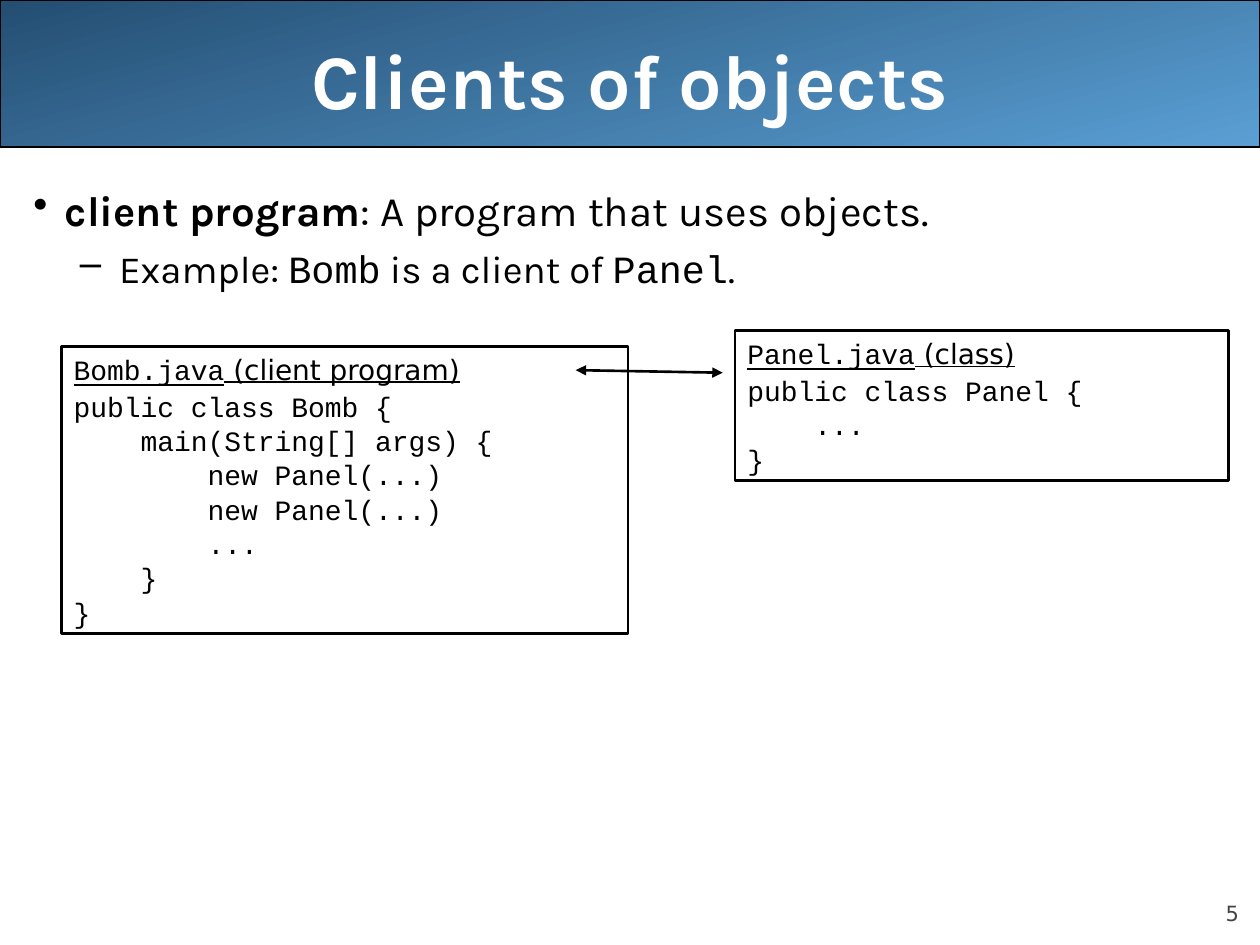
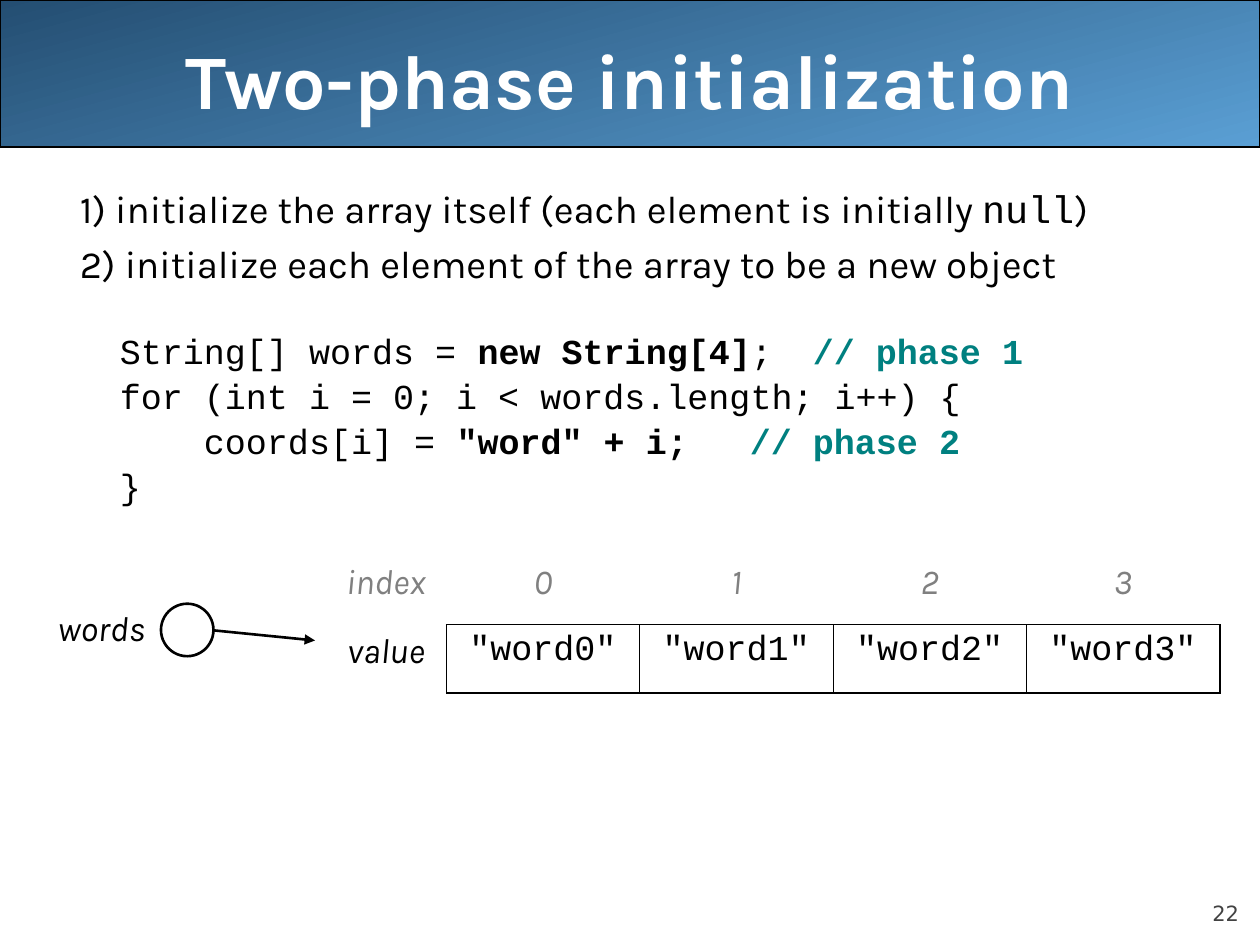
from dataclasses import dataclass
from lxml.etree import SubElement
from pptx import Presentation
from pptx.dml.color import RGBColor as Color
from pptx.enum.shapes import MSO_CONNECTOR as Connector, MSO_SHAPE as Shape
from pptx.enum.text import MSO_ANCHOR as Anchor, PP_ALIGN as Align
from pptx.oxml.ns import qn
from pptx.util import Pt


@dataclass(frozen=True)
class Theme:
    black: str = "000000"
    white: str = "FFFFFF"
    band_dark: str = "244E72"
    band_light: str = "5A9FD4"
    page_number: str = "424242"
    index: str = "808080"
    comment: str = "008080"
    body_font: str = "Karla"
    code_font: str = "Courier New"
    plain_font: str = "DejaVu Sans"
    title_size: float = 44
    lead_size: float = 24
    body_size: float = 22
    diagram_size: float = 20
    listing_size: float = 16
    number_size: float = 12
    line_width: float = 1.5
    thin_border: float = 0.45
    thick_border: float = 1.08


THEME = Theme()
CODE = {"font": THEME.code_font}
LISTING = {"font": THEME.code_font, "size": THEME.listing_size}
CODE_BLOCK = {"font": THEME.code_font, "size": THEME.diagram_size}
DIAGRAM = {"size": THEME.diagram_size, "italic": True}
COMMENT = {"color": THEME.comment, "bold": True}
SUB_LEVEL = {"margin": 49, "hanging": 22.5, "before": 5.5}


def add_span(para, text, font=THEME.body_font, size=THEME.body_size,
             color=THEME.black, bold=False, italic=False, underline=False):
    span = para.add_run()
    span.text = text
    style = span.font
    style.name, style.size = font, Pt(size)
    style.bold, style.italic, style.underline = bold, italic, underline
    style.color.rgb = Color.from_string(color)


def add_para(frame, spans, align=Align.LEFT, before=0, spacing=1.0,
             margin=0, hanging=0, bullet=None, tab=None):
    first = not frame.paragraphs[0].runs
    para = frame.paragraphs[0] if first else frame.add_paragraph()
    props = para._p.get_or_add_pPr()
    props.set("marL", str(Pt(margin)))
    props.set("indent", str(Pt(-hanging)))
    if bullet:
        SubElement(props, qn("a:buChar"), char=bullet)
    else:
        SubElement(props, qn("a:buNone"))
    if tab:
        stops = SubElement(props, qn("a:tabLst"))
        SubElement(stops, qn("a:tab"), pos=str(Pt(tab)), algn="l")
    para.alignment = align
    para.line_spacing = spacing
    para.space_before = Pt(0 if first else before)
    for text, style in spans:
        add_span(para, text, **style)


def set_frame(frame, anchor=Anchor.TOP, inset=(7.2, 3.6)):
    frame.word_wrap = True
    frame.vertical_anchor = anchor
    frame.margin_left = frame.margin_right = Pt(inset[0])
    frame.margin_top = frame.margin_bottom = Pt(inset[1])
    return frame


def add_text_box(page, left, top, width, height, **frame_format):
    box = page.shapes.add_textbox(Pt(left), Pt(top), Pt(width), Pt(height))
    return set_frame(box.text_frame, **frame_format)


def add_outline(page, kind, left, top, width, height, fill=None,
                line_width=THEME.line_width):
    shape = page.shapes.add_shape(kind, Pt(left), Pt(top), Pt(width), Pt(height))
    shape.shadow.inherit = False
    if fill:
        shape.fill.solid()
        shape.fill.fore_color.rgb = Color.from_string(fill)
    else:
        shape.fill.background()
    shape.line.color.rgb = Color.from_string(THEME.black)
    shape.line.width = Pt(line_width)
    return shape


def add_arrow(page, start, end, both_ends=False):
    arrow = page.shapes.add_connector(
        Connector.STRAIGHT, *(Pt(value) for value in start + end))
    arrow.line.color.rgb = Color.from_string(THEME.black)
    arrow.line.width = Pt(THEME.line_width)
    line = arrow.line._get_or_add_ln()
    for tip in ("a:headEnd", "a:tailEnd") if both_ends else ("a:tailEnd",):
        SubElement(line, qn(tip), type="triangle")
    SubElement(arrow._element.spPr, qn("a:effectLst"))


def add_page(deck, title, number):
    page = deck.slides.add_slide(deck.slide_layouts[6])
    band = add_outline(page, Shape.ROUNDED_RECTANGLE, 0, 0, 720, 84, line_width=0.75)
    band.adjustments[0] = 0
    band.fill.gradient()
    band.fill.gradient_angle = 285
    for stop, color in zip(band.fill.gradient_stops, (THEME.band_dark, THEME.band_light)):
        stop.color.rgb = Color.from_string(color)
    frame = add_text_box(page, 36, 0, 648, 90, anchor=Anchor.MIDDLE)
    style = {"size": THEME.title_size, "color": THEME.white, "bold": True}
    add_para(frame, [(title, style)], align=Align.CENTER)
    frame = add_text_box(page, 648, 500.5, 60, 28.5, anchor=Anchor.BOTTOM, inset=(0, 0))
    style = {"font": THEME.plain_font, "size": THEME.number_size,
             "color": THEME.page_number}
    add_para(frame, [(str(number), style)], align=Align.RIGHT)
    return page


def add_body(page):
    return add_text_box(page, 12, 102, 708, 408)


def add_listing(page, left, top, width, height, file_name, role, code):
    box = add_outline(page, Shape.RECTANGLE, left, top, width, height)
    frame = set_frame(box.text_frame)
    heading = LISTING | {"underline": True}
    add_para(frame, [(file_name, heading),
                     (f" ({role})", heading | {"font": THEME.plain_font})])
    for line in code.splitlines():
        add_para(frame, [(line, LISTING)], before=10, spacing=0.5)


def set_borders(cell, widths):
    props = cell._tc.get_or_add_tcPr()
    for side in "LRTB":
        width = widths.get(side, 0)
        line = SubElement(props, qn(f"a:ln{side}"), w=str(Pt(width)))
        if width:
            fill = SubElement(line, qn("a:solidFill"))
            SubElement(fill, qn("a:srgbClr"), val=THEME.black)
        else:
            SubElement(line, qn("a:noFill"))


def add_array(page, left, top, values):
    label_width, value_width, row_height = 69, 110.5, 39
    count = len(values)
    table = page.shapes.add_table(
        2, count + 1, Pt(left), Pt(top),
        Pt(label_width + count * value_width), Pt(2 * row_height)).table
    table.first_row = table.horz_banding = False
    for column, grid_column in enumerate(table.columns):
        grid_column.width = Pt(value_width if column else label_width)
    rows = [["index", *map(str, range(count))], ["value", *values]]
    thin, thick = THEME.thin_border, THEME.thick_border
    for row, texts in enumerate(rows):
        table.rows[row].height = Pt(row_height)
        for column, text in enumerate(texts):
            cell = table.cell(row, column)
            style, borders = DIAGRAM, {}
            if row == 0:
                style = DIAGRAM | {"color": THEME.index}
                borders = {"B": thin} if column else {}
            elif column == 0:
                borders = {"R": thin}
            else:
                style = CODE_BLOCK
                right = thick if column == count else thin
                borders = {"L": thin, "R": right, "T": thin, "B": thick}
            set_borders(cell, borders)
            cell.fill.background()
            add_para(cell.text_frame, [(text, style)], align=Align.CENTER)


def build_clients(deck):
    page = add_page(deck, "Clients of objects", 5)
    body = add_body(page)
    lead = {"size": THEME.lead_size}
    add_para(body, [("client program", lead | {"bold": True}),
                    (": A program that uses objects.", lead)],
             margin=18, hanging=18, bullet="•")
    add_para(body, [("Example: ", {}), ("Bomb", CODE), (" is a client of ", {}),
                    ("Panel", CODE), (".", {})], bullet="–", **SUB_LEVEL)
    add_listing(page, 35, 198, 324, 164, "Bomb.java", "client program", """\
public class Bomb {
    main(String[] args) {
        new Panel(...)
        new Panel(...)
        ...
    }
}""")
    add_listing(page, 420, 189, 282, 85.5, "Panel.java", "class", """\
public class Panel {
    ...
}""")
    add_arrow(page, (329, 211.5), (413, 213), both_ends=True)


def build_initialization(deck):
    page = add_page(deck, "Two-phase initialization", 22)
    body = add_body(page)
    add_para(body, [("1) initialize the array itself (each element is initially ", {}),
                    ("null", CODE), (")", {})], **SUB_LEVEL)
    add_para(body, [("2) initialize each element of the array to be a new object", {})],
             **SUB_LEVEL)
    code = add_text_box(page, 68.5, 193, 640, 100, inset=(0, 0))
    bold, comment = CODE_BLOCK | {"bold": True}, CODE_BLOCK | COMMENT
    code_lines = [
        [("String[] words = ", CODE_BLOCK), ("new String[4]", bold),
         (";\t", CODE_BLOCK), ("// phase 1", comment)],
        [("for (int i = 0; i < words.length; i++) {", CODE_BLOCK)],
        [("    coords[i] = ", CODE_BLOCK), ('"word" + i;\t', bold),
         ("// phase 2", comment)],
        [("}", CODE_BLOCK)],
    ]
    for spans in code_lines:
        add_para(code, spans, before=6.5, spacing=0.8, tab=505)
    add_array(page, 186, 318, [f'"word{index}"' for index in range(4)])
    label = add_text_box(page, 0, 343, 90, 35)
    add_para(label, [("words", DIAGRAM)], align=Align.RIGHT)
    add_arrow(page, (120, 360), (180, 366))
    add_outline(page, Shape.OVAL, 92, 345, 30, 30, fill=THEME.white)


def main():
    deck = Presentation()
    deck.slide_width, deck.slide_height = Pt(720), Pt(540)
    build_clients(deck)
    build_initialization(deck)
    deck.save("out.pptx")


if __name__ == "__main__":
    main()
